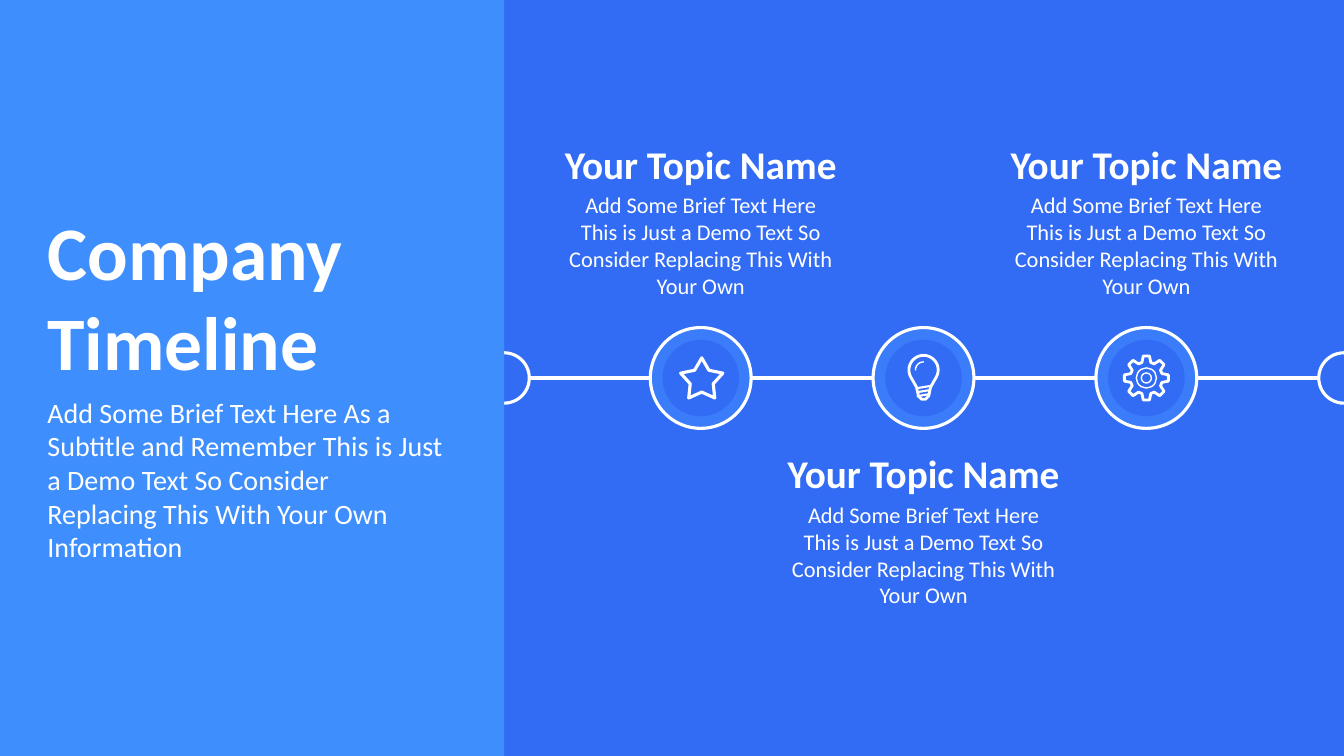
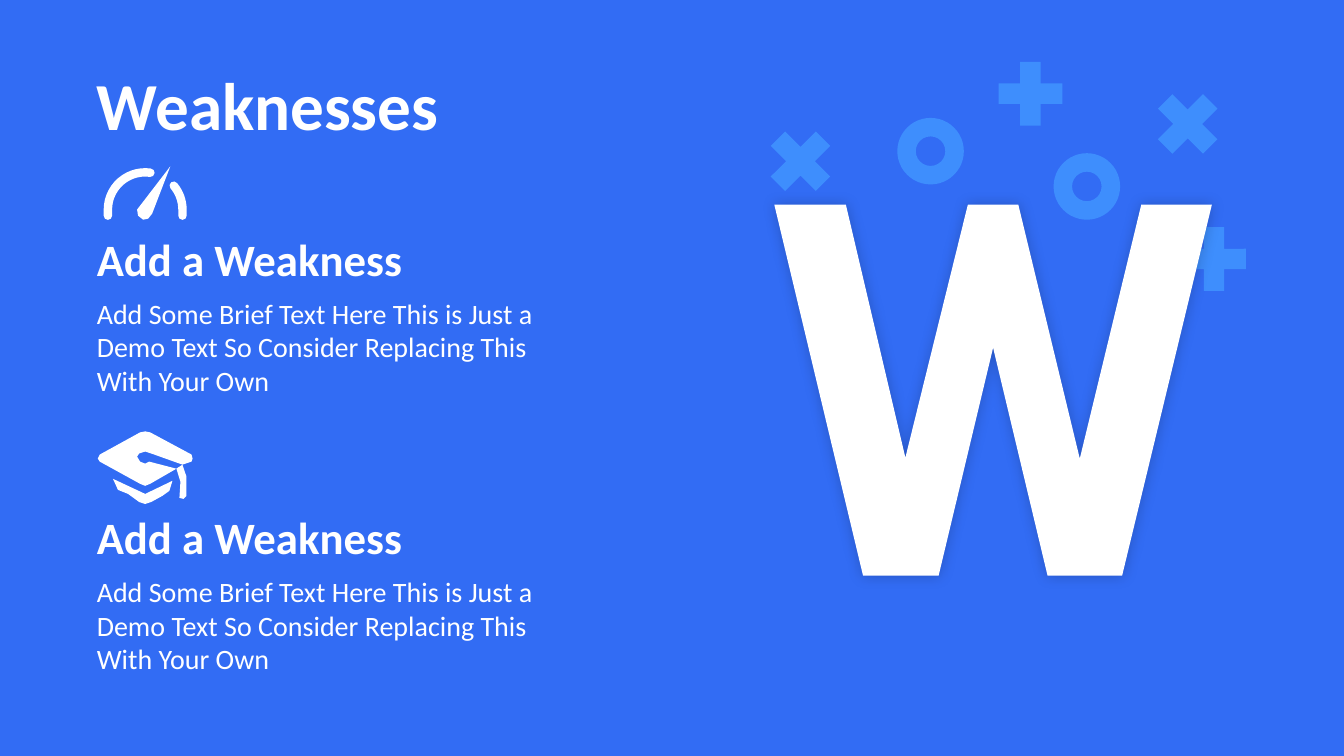
from math import cos, radians, sin

from lxml import etree
from pptx import Presentation
from pptx.dml.color import RGBColor
from pptx.enum.shapes import MSO_CONNECTOR as CONNECTOR, MSO_SHAPE as SHAPE
from pptx.enum.text import MSO_ANCHOR as ANCHOR, MSO_AUTO_SIZE as AUTO_SIZE, PP_ALIGN as ALIGN
from pptx.oxml import parse_xml
from pptx.oxml.ns import nsdecls, qn
from pptx.util import Inches, Pt

COLORS = {
    "background": "326CF4",
    "panel": "3E8EFD",
    "node": "3B7CFA",
    "white": "FFFFFF",
    "shadow": "000000",
}
FONT = "Calibri"
DEMO_TEXT = "Add Some Brief Text Here This is Just a Demo Text So Consider Replacing This With Your Own"


def write_text(shape, box, text, size, bold=False, align=ALIGN.LEFT):
    shape.left, shape.top, shape.width, shape.height = [Inches(value) for value in box]
    frame = shape.text_frame
    frame.word_wrap = True
    frame.auto_size = AUTO_SIZE.NONE
    frame.vertical_anchor = ANCHOR.TOP
    frame.text = text
    paragraph = frame.paragraphs[0]
    paragraph.alignment = align
    paragraph.space_before = Pt(0)
    properties = paragraph._p.get_or_add_pPr()
    properties.set("marL", "0")
    properties.set("indent", "0")
    etree.SubElement(properties, qn("a:buNone"))
    font = paragraph.runs[0].font
    font.name = FONT
    font.size = Pt(size)
    font.bold = bold
    font.color.rgb = RGBColor.from_string(COLORS["white"])


def style_shape(shape, fill=None, line_width=0):
    shape.shadow.inherit = False
    if fill:
        shape.fill.solid()
        shape.fill.fore_color.rgb = RGBColor.from_string(COLORS[fill])
    else:
        shape.fill.background()
    if line_width:
        shape.line.color.rgb = RGBColor.from_string(COLORS["white"])
        shape.line.width = Pt(line_width)
    else:
        shape.line.fill.background()


presentation = Presentation()
presentation.slide_width = Inches(13.33)
presentation.slide_height = Inches(7.5)
background = presentation.slide_master.background.fill
background.solid()
background.fore_color.rgb = RGBColor.from_string(COLORS["background"])

timeline = presentation.slides.add_slide(presentation.slide_layouts.get_by_name("Title and Content"))
title, subtitle = timeline.placeholders

axis_y = 3.75
step = 2.21
centers = [6.95 + step * index for index in range(3)]

ellipses = [(5, 0.5, "background", 2.25), (13.33, 0.5, "background", 2.25)]
for center in centers:
    ellipses += [(center, 1, "node", 2.25), (center, 0.76, "background", 0)]
for center, size, fill, line_width in ellipses:
    ellipse = timeline.shapes.add_shape(
        SHAPE.OVAL, Inches(center - size / 2), Inches(axis_y - size / 2), Inches(size), Inches(size))
    style_shape(ellipse, fill, line_width)

for index in range(4):
    start = 5.24 + step * index
    connector = timeline.shapes.add_connector(
        CONNECTOR.STRAIGHT, Inches(start), Inches(axis_y), Inches(start + 1.2), Inches(axis_y))
    connector.line.color.rgb = RGBColor.from_string(COLORS["white"])
    connector.line.width = Pt(2.25)
    etree.SubElement(connector._element.spPr, qn("a:effectLst"))

panel = timeline.shapes.add_shape(SHAPE.RECTANGLE, 0, 0, Inches(5), presentation.slide_height)
style_shape(panel, "panel")

for placeholder in (title, subtitle):
    timeline.shapes._spTree.append(placeholder._element)
write_text(title, (0.37, 1.98, 3.71, 1.92), "Company Timeline", 54, bold=True)
write_text(
    subtitle, (0.37, 3.87, 4.14, 1.45),
    "Add Some Brief Text Here As a Subtitle and Remember This is Just a Demo Text "
    "So Consider Replacing This With Your Own Information", 20)

for center, top in zip(centers, (1.34, 4.41, 1.34)):
    for text, width, offset, height, size, bold in (
        ("Your Topic Name", 4.03, 0, 0.57, 28, True),
        (DEMO_TEXT, 2.89, 0.51, 1.18, 16, False),
    ):
        textbox = timeline.shapes.add_textbox(0, 0, 0, 0)
        write_text(textbox, (center - width / 2, top + offset, width, height),
                   text, size, bold=bold, align=ALIGN.CENTER)

star_x, bulb_x, gear_x = centers
for radius in (0.1, 0.05):
    ring = timeline.shapes.add_shape(
        SHAPE.OVAL, Inches(gear_x - radius), Inches(axis_y - radius), Inches(radius * 2), Inches(radius * 2))
    style_shape(ring, line_width=1)

weaknesses = presentation.slides.add_slide(presentation.slide_layouts.get_by_name("Comparison"))
title, *blocks = weaknesses.placeholders
write_text(title, (0.86, 0.58, 4.56, 0.91), "Weaknesses", 48, bold=True)
for index, top in enumerate((2.25, 5.01)):
    heading, body = blocks[index * 2:index * 2 + 2]
    write_text(heading, (0.86, top, 4.26, 0.64), "Add a Weakness", 32, bold=True)
    write_text(body, (0.86, top + 0.64, 4.79, 1.11), DEMO_TEXT, 20)

for kind, left, top, size, rotation in (
    (SHAPE.MATH_MULTIPLY, 7.51, 1.17, 0.86, 0),
    (SHAPE.MATH_MULTIPLY, 9.79, 0.5, 0.86, 45),
    (SHAPE.MATH_MULTIPLY, 11.61, 2.14, 0.86, 45),
    (SHAPE.MATH_MULTIPLY, 11.35, 0.8, 0.86, 0),
    (SHAPE.DONUT, 8.9, 1.17, 0.66, 0),
    (SHAPE.DONUT, 10.45, 1.52, 0.66, 0),
):
    ornament = weaknesses.shapes.add_shape(kind, Inches(left), Inches(top), Inches(size), Inches(size))
    ornament.rotation = rotation
    if kind == SHAPE.DONUT:
        ornament.adjustments[0] = 0.278
    style_shape(ornament, "panel")

star_polar = [(0.22 if index % 2 == 0 else 0.12, index * 36 - 90) for index in range(10)]
gear_polar = [
    (radius, tooth * 45 + angle)
    for tooth in range(8)
    for radius, angle in ((0.16, -16), (0.22, -8), (0.22, 8), (0.16, 16))
]
bulb_polar = [(0.145, angle) for angle in range(150, 391, 10)]
glint_polar = [(0.08, angle) for angle in range(180, 271, 15)]
gauge_left_polar = [(0.37, angle) for angle in range(180, 279, 7)]
gauge_right_polar = [(0.37, angle) for angle in range(320, 361, 5)]

star, gear, bulb, glint, gauge_left, gauge_right = [
    [(x + radius * cos(radians(angle)), y + radius * sin(radians(angle))) for radius, angle in polar]
    for x, y, polar in (
        (star_x + 0.01, 3.77, star_polar),
        (gear_x, axis_y, gear_polar),
        (bulb_x, 3.67, bulb_polar),
        (bulb_x, 3.67, glint_polar),
        (1.44, 2.08, gauge_left_polar),
        (1.44, 2.08, gauge_right_polar),
    )
]
bulb += [(bulb_x + x, y) for x, y in (
    (0.07, 3.84), (0.05, 3.93), (0.02, 3.96), (-0.02, 3.96), (-0.05, 3.93), (-0.07, 3.84))]
gauge_left.insert(0, (1.07, 2.14))
gauge_right.append((1.81, 2.14))
needle = [(1.69, 1.65), (1.51, 2.12), (1.47, 2.17), (1.42, 2.18), (1.37, 2.14), (1.36, 2.08)]
cap_board = [
    (1.44, 4.28), (1.49, 4.29), (1.9, 4.51), (1.91, 4.55), (1.9, 4.58), (1.81, 4.61), (1.53, 4.51),
    (1.44, 4.48), (1.38, 4.5), (1.36, 4.53), (1.39, 4.58), (1.44, 4.6), (1.48, 4.58), (1.75, 4.65),
    (1.49, 4.8), (1.44, 4.82), (1.39, 4.8), (0.99, 4.58), (0.97, 4.55), (0.99, 4.51), (1.39, 4.29),
]
cap_tassel = [
    (1.81, 4.61), (1.85, 4.73), (1.85, 4.92), (1.82, 4.95), (1.78, 4.94), (1.79, 4.78), (1.75, 4.65)]
cap_base = [
    (1.12, 4.75), (1.44, 4.9), (1.71, 4.77), (1.68, 4.87), (1.61, 4.92),
    (1.5, 4.98), (1.44, 5), (1.38, 4.98), (1.27, 4.9), (1.17, 4.86)]
letter = [
    (7.68, 2.03), (8.39, 2.03), (8.98, 4.54), (9.6, 2.03), (10.1, 2.03), (10.71, 4.55), (11.32, 2.03),
    (12.02, 2.03), (11.13, 5.71), (10.39, 5.71), (9.85, 3.45), (9.31, 5.71), (8.56, 5.71)]

outlines = [
    (timeline, star, None, 2.25, True),
    (timeline, gear, None, 2, True),
    (timeline, bulb, None, 2, True),
    (timeline, glint, None, 1, False),
    (weaknesses, gauge_left, None, 6, False),
    (weaknesses, gauge_right, None, 6, False),
    (weaknesses, needle, "white", 0, True),
    (weaknesses, cap_board, "white", 0, True),
    (weaknesses, cap_tassel, "white", 0, True),
    (weaknesses, cap_base, "white", 0, True),
    (weaknesses, letter, "white", 0, True),
]
for y in (3.84, 3.88, 3.92):
    outlines.append((timeline, [(bulb_x - 0.06, y + 0.01), (bulb_x + 0.06, y - 0.01)], None, 1.5, False))
for slide, points, fill, line_width, closed in outlines:
    corners = [(Inches(x), Inches(y)) for x, y in points]
    builder = slide.shapes.build_freeform(*corners[0])
    builder.add_line_segments(corners[1:], close=closed)
    outline = builder.convert_to_shape()
    style_shape(outline, fill, line_width)
    if line_width:
        outline.line._get_or_add_ln().set("cap", "rnd")
    if points is letter:
        outline._element.spPr.find(qn("a:effectLst")).append(parse_xml(
            f'<a:outerShdw {nsdecls("a")} blurRad="{Pt(10)}" dist="0" algn="ctr" rotWithShape="0">'
            f'<a:srgbClr val="{COLORS["shadow"]}"><a:alpha val="20000"/></a:srgbClr></a:outerShdw>'))

for slide in presentation.slides:
    for placeholder in list(slide.placeholders):
        if not placeholder.text_frame.text:
            placeholder._element.getparent().remove(placeholder._element)

presentation.save("out.pptx")
